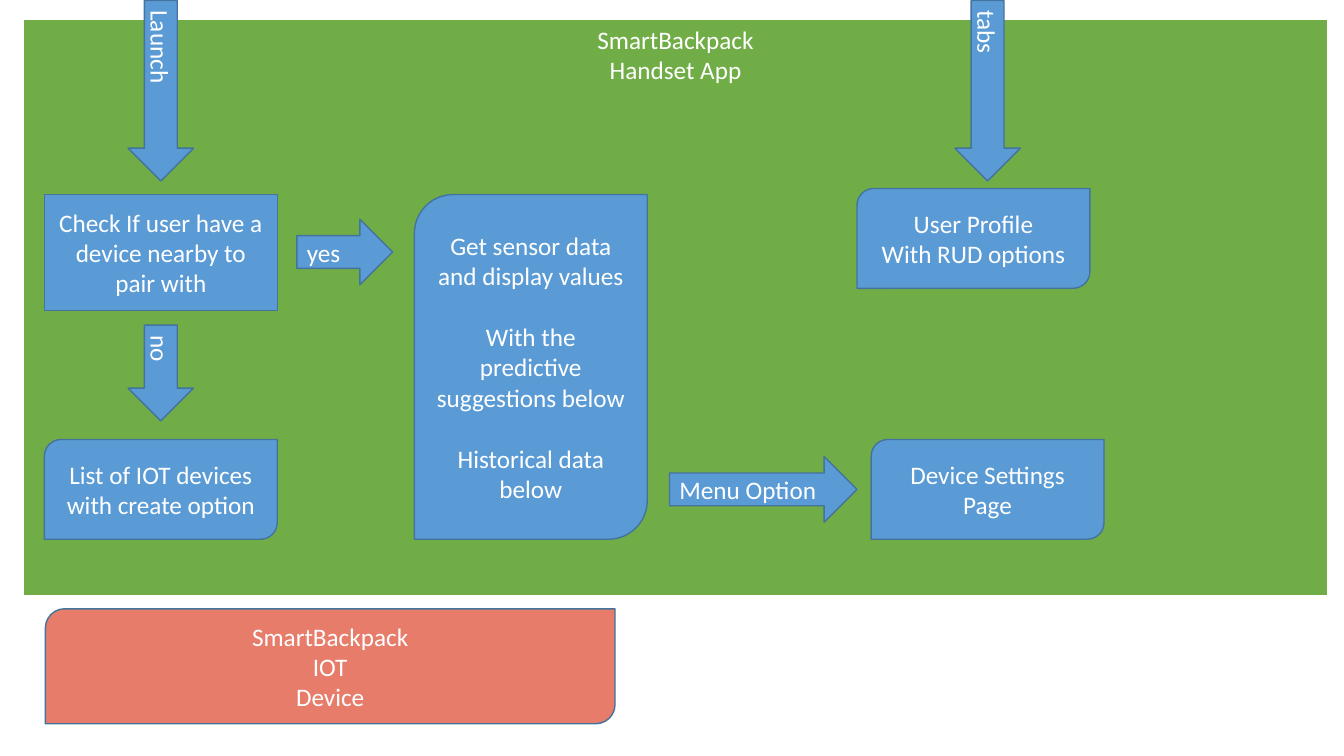
"""Build the one-slide flow of the SmartBackpack app and its IOT device."""
from pptx import Presentation
from pptx import util as u
from pptx.dml.color import RGBColor
from pptx.enum import shapes, text

GREEN = RGBColor(0x70, 0xAD, 0x47)
CORAL = RGBColor(0xE8, 0x7C, 0x6A)
BLUE = RGBColor(0x5B, 0x9B, 0xD5)
EDGE = RGBColor(0x43, 0x73, 0x9E)
WHITE = RGBColor(0xFF, 0xFF, 0xFF)

RECT = shapes.MSO_SHAPE.RECTANGLE
PAGE = shapes.MSO_SHAPE.ROUND_2_DIAG_RECTANGLE
ARROW = shapes.MSO_SHAPE.DOWN_ARROW

APP = ["SmartBackpack", "Handset App"]
DEVICE = ["SmartBackpack", "IOT", "Device"]

STEP_W, STEP_H, ARROW_W = 2.31, 0.99, 0.65
COLS = {"start": 0.44, "sensor": 4.11, "profile": 8.5, "settings": 8.64}
TOP, BOTTOM = 1.93, 5.35
LOW = BOTTOM - STEP_H
LINE_GAP = 22

STEPS = [
    (PAGE, "sensor", TOP, BOTTOM - TOP,
     ["Get sensor data and display values",
      "With the predictive suggestions below",
      "Historical data below"]),
    (RECT, "start", TOP, 1.15,
     ["Check If user have a device nearby to pair with"]),
    (PAGE, "start", LOW, STEP_H, ["List of IOT devices with create option"]),
    (PAGE, "profile", 1.87, STEP_H, ["User Profile", "With RUD options"]),
    (PAGE, "settings", LOW, STEP_H, ["Device Settings Page"]),
]

START_X = COLS["start"] + STEP_W / 2
SETTINGS_X = COLS["settings"] + STEP_W / 2
ARROWS = [
    ("Launch", START_X, 0.9, 1.79, 0),
    ("no", START_X, 3.7, 0.95, 0),
    ("yes", 3.42, 2.5, 0.95, 270),
    ("Menu Option", 7.57, LOW + STEP_H / 2, 1.86, 270),
    ("tabs", SETTINGS_X, 0.9, 1.79, 0),
]


def add_box(slide, kind, box, lines, fill, edge=EDGE, width=1, gap=0):
    sp = slide.shapes.add_shape(kind, *(u.Inches(v) for v in box))
    sp.shadow.inherit = False
    sp.fill.solid()
    sp.fill.fore_color.rgb = fill
    sp.line.color.rgb = edge
    sp.line.width = u.Pt(width)
    tf = sp.text_frame
    tf.word_wrap = True
    tf.vertical_anchor = text.MSO_ANCHOR.MIDDLE
    for i, line in enumerate(lines):
        p = tf.add_paragraph() if i else tf.paragraphs[0]
        p.text = line
        p.alignment = text.PP_ALIGN.CENTER
        p.space_before = u.Pt(gap if i else 0)
        p.font.name = "Calibri"
        p.font.size = u.Pt(18)
        p.font.color.rgb = WHITE
    return sp


def main():
    prs = Presentation()
    prs.slide_width, prs.slide_height = u.Inches(13.33), u.Inches(7.5)
    slide = prs.slides.add_slide(prs.slide_layouts[6])

    app = add_box(slide, RECT, (0.23, 0.19, 12.94, 5.72), APP, GREEN, WHITE, 1.5)
    app.text_frame.vertical_anchor = text.MSO_ANCHOR.TOP
    add_box(slide, PAGE, (0.45, 6.04, 5.65, 1.14), DEVICE, CORAL)

    for kind, col, top, height, lines in STEPS:
        gap = LINE_GAP if col == "sensor" else 0
        add_box(slide, kind, (COLS[col], top, STEP_W, height), lines, BLUE, gap=gap)

    for label, x, y, length, turn in ARROWS:
        box = (x - ARROW_W / 2, y - length / 2, ARROW_W, length)
        sp = add_box(slide, ARROW, box, [label], BLUE)
        sp.rotation = turn
        sp.text_frame._txBody.bodyPr.set("vert", "eaVert")

    prs.save("out.pptx")


if __name__ == "__main__":
    main()
